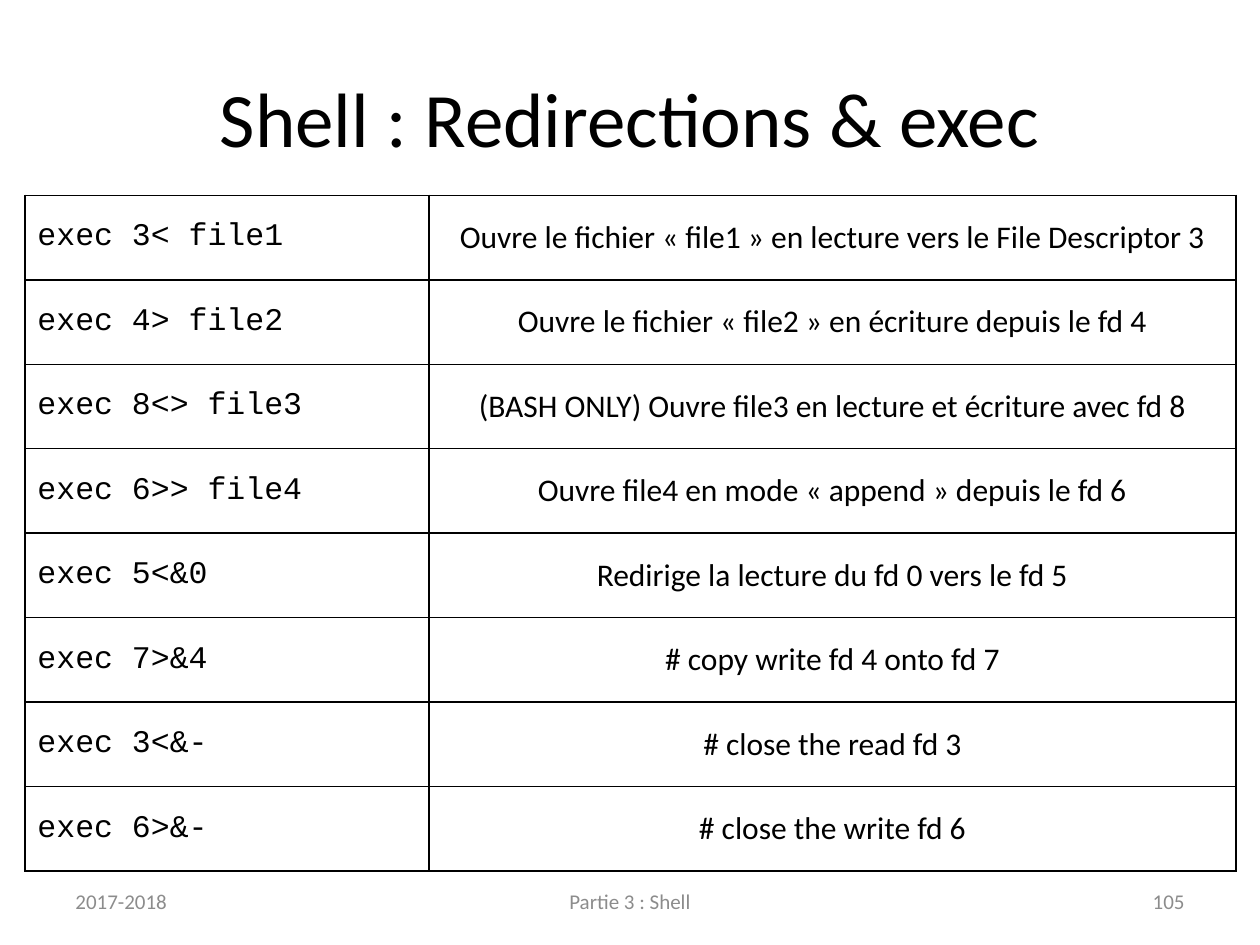
from dataclasses import dataclass

from lxml import etree
from pptx import Presentation
from pptx.dml.color import RGBColor
from pptx.enum.text import MSO_ANCHOR, PP_ALIGN
from pptx.oxml.ns import qn
from pptx.util import Pt

LEFT, MID, RIGHT = PP_ALIGN.LEFT, PP_ALIGN.CENTER, PP_ALIGN.RIGHT
CENTRE = MSO_ANCHOR.MIDDLE
BLACK = RGBColor(0x00, 0x00, 0x00)
GREY = RGBColor(0x8C, 0x8C, 0x8C)
SANS, MONO = "Calibri", "Courier New"


@dataclass
class Style:
    size: float
    color: RGBColor = BLACK
    font: str = SANS
    align: PP_ALIGN = MID


@dataclass
class Label:
    text: str
    x: float
    y: float
    w: float
    h: float
    style: Style


@dataclass
class Command:
    code: str
    note: str


LABELS = [
    Label("Shell : Redirections & exec", 36, 21.6, 648, 90, Style(44)),
    Label("2017-2018", 36, 500.5, 168, 28.75, Style(12, GREY, align=LEFT)),
    Label("Partie 3 : Shell", 246, 500.5, 228, 28.75, Style(12, GREY)),
    Label("105", 516, 500.5, 168, 28.75, Style(12, GREY, align=RIGHT)),
]

COMMANDS = [
    Command("exec 3< file1",
            "Ouvre le fichier « file1 » en lecture vers le File Descriptor 3"),
    Command("exec 4> file2",
            "Ouvre le fichier « file2 » en écriture depuis le fd 4"),
    Command("exec 8<> file3",
            "(BASH ONLY) Ouvre file3 en lecture et écriture avec fd 8"),
    Command("exec 6>> file4", "Ouvre file4 en mode « append » depuis le fd 6"),
    Command("exec 5<&0", "Redirige la lecture du fd 0 vers le fd 5"),
    Command("exec 7>&4", "# copy write fd 4 onto fd 7"),
    Command("exec 3<&-", "# close the read fd 3"),
    Command("exec 6>&-", "# close the write fd 6"),
]

CODE = Style(18, font=MONO, align=LEFT)
NOTE = Style(18)
COLS = (231, 461)
ROW = 48.3


def write(frame, text: str, style: Style) -> None:
    frame.text = text
    para = frame.paragraphs[0]
    para.alignment = style.align
    font = para.runs[0].font
    font.size = Pt(style.size)
    font.name = style.font
    font.color.rgb = style.color


def add_label(slide, label: Label) -> None:
    box = slide.shapes.add_textbox(
        Pt(label.x), Pt(label.y), Pt(label.w), Pt(label.h))
    frame = box.text_frame
    frame.word_wrap = True
    frame.vertical_anchor = CENTRE
    write(frame, label.text, label.style)


def add_edges(cell) -> None:
    """Draw a thin black line on all four sides of the cell."""
    props = cell._tc.get_or_add_tcPr()
    for side in ("a:lnL", "a:lnR", "a:lnT", "a:lnB"):
        line = etree.SubElement(props, qn(side), w=str(Pt(1)))
        fill = etree.SubElement(line, qn("a:solidFill"))
        etree.SubElement(fill, qn("a:srgbClr"), val=str(BLACK))


def fill_cell(cell, text: str, style: Style) -> None:
    write(cell.text_frame, text, style)
    cell.vertical_anchor = CENTRE
    add_edges(cell)
    cell.fill.background()


def add_grid(slide, x: float, y: float) -> None:
    count = len(COMMANDS)
    table = slide.shapes.add_table(
        count, len(COLS), Pt(x), Pt(y), Pt(sum(COLS)), Pt(ROW * count)).table
    table.first_row = table.horz_banding = False
    for col, width in zip(table.columns, COLS):
        col.width = Pt(width)
    for row, item in zip(table.rows, COMMANDS):
        row.height = Pt(ROW)
        fill_cell(row.cells[0], item.code, CODE)
        fill_cell(row.cells[1], item.note, NOTE)


def main() -> None:
    deck = Presentation()
    deck.slide_width, deck.slide_height = Pt(720), Pt(540)
    slide = deck.slides.add_slide(deck.slide_layouts[6])
    for label in LABELS:
        add_label(slide, label)
    add_grid(slide, 14.2, 111.6)
    deck.save("out.pptx")


if __name__ == "__main__":
    main()
